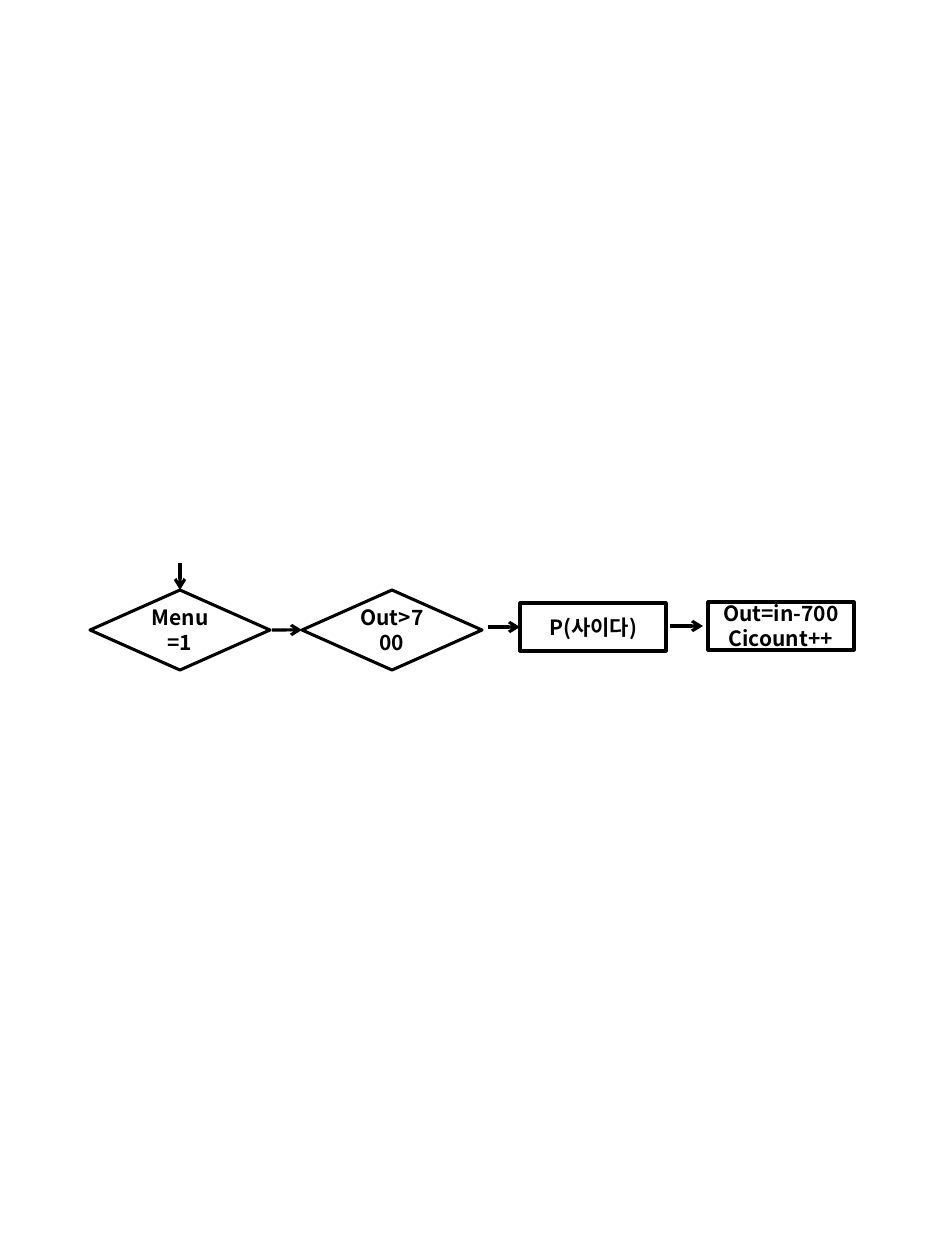
from dataclasses import dataclass

from lxml.etree import SubElement
from pptx import Presentation
from pptx.dml.color import RGBColor
from pptx.enum.shapes import MSO_CONNECTOR, MSO_SHAPE
from pptx.enum.text import MSO_ANCHOR, PP_ALIGN
from pptx.oxml.ns import qn
from pptx.util import Pt

PX = 914400 / 126


@dataclass(frozen=True)
class Theme:
    ink: RGBColor = RGBColor(0, 0, 0)
    paper: RGBColor = RGBColor(255, 255, 255)
    font: str = "Noto Sans CJK KR"
    text_size: Pt = Pt(12)
    line_width: Pt = Pt(1.75)


theme = Theme()


def px(*lengths):
    """Turn pixel lengths into EMU."""
    return [round(length * PX) for length in lengths]


presentation = Presentation()
presentation.slide_width, presentation.slide_height = px(945, 1260)
slide = presentation.slides.add_slide(presentation.slide_layouts[6])

# Flowchart steps: preset, left, top, width, height, lines of text
DECISION, PROCESS = MSO_SHAPE.FLOWCHART_DECISION, MSO_SHAPE.FLOWCHART_PROCESS
steps = {
    "menu": (DECISION, 90, 590, 180, 80, ["Menu=1"]),
    "price": (DECISION, 302, 590, 180, 80, ["Out>700"]),
    "dispense": (PROCESS, 520, 603, 146, 48, ["P(사이다)"]),
    "change": (PROCESS, 708, 602, 146, 48, ["Out=in-700", "Cicount++"]),
}
shapes = {}
for name, (preset, left, top, width, height, lines) in steps.items():
    shape = slide.shapes.add_shape(preset, *px(left, top, width, height))
    shape.shadow.inherit = False
    shape.fill.solid()
    shape.fill.fore_color.rgb = theme.paper
    shape.line.color.rgb = theme.ink
    shape.line.width = theme.line_width
    frame = shape.text_frame
    frame.word_wrap = True
    frame.vertical_anchor = MSO_ANCHOR.MIDDLE
    frame.text = "\n".join(lines)
    for paragraph in frame.paragraphs:
        paragraph.alignment = PP_ALIGN.CENTER
        paragraph.font.size = theme.text_size
        paragraph.font.bold = True
        paragraph.font.color.rgb = theme.ink
        paragraph.font.name = theme.font
        defaults = paragraph._p.pPr.find(qn("a:defRPr"))
        SubElement(defaults, qn("a:ea"), typeface=theme.font)
    shapes[name] = shape

# Arrows: start x, y, end x, y, step joined at the end, its side
TOP, LEFT = 0, 1
arrows = [
    (180, 563, 180, 590, "menu", TOP),
    (272, 630, 302, 630, "price", LEFT),
    (488, 627, 520, 627, "dispense", LEFT),
    (670, 626, 703, 626, None, None),
]
for start_x, start_y, end_x, end_y, target, side in arrows:
    arrow = slide.shapes.add_connector(
        MSO_CONNECTOR.STRAIGHT, *px(start_x, start_y, end_x, end_y))
    if target:
        arrow.end_connect(shapes[target], side)
    arrow.line.color.rgb = theme.ink
    arrow.line.width = theme.line_width
    SubElement(arrow.line._get_or_add_ln(), qn("a:tailEnd"), type="arrow")
    SubElement(arrow._element.spPr, qn("a:effectLst"))

presentation.save("out.pptx")
